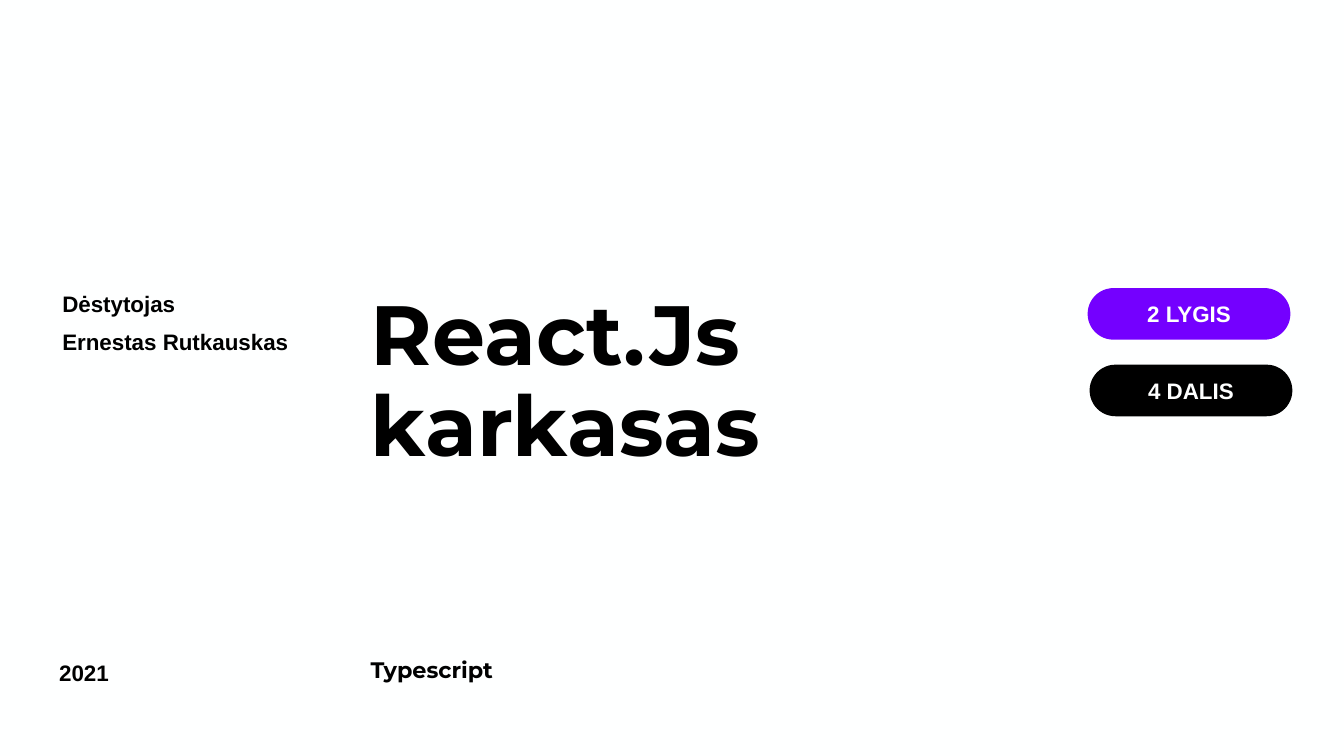
from pptx import Presentation
from pptx.dml.color import RGBColor
from pptx.enum.shapes import MSO_SHAPE
from pptx.enum.text import MSO_ANCHOR, MSO_AUTO_SIZE, PP_ALIGN
from pptx.util import Cm, Pt

LEFT, CENTER = PP_ALIGN.LEFT, PP_ALIGN.CENTER
TOP, MIDDLE = MSO_ANCHOR.TOP, MSO_ANCHOR.MIDDLE
NO_FIT = MSO_AUTO_SIZE.NONE
PILL = MSO_SHAPE.ROUNDED_RECTANGLE
BLACK, WHITE, VIOLET = "000000", "FEFFFF", "7400FF"

# Shared rows and columns, in cm
MIDDLE_ROW, BOTTOM_ROW = 7.26, 16.48
MAIN_COLUMN, MAIN_WIDTH = 9.09, 19.58
MIDDLE_HEIGHT, BOTTOM_HEIGHT = 6.63, 2.57


def rgb(value):
    return RGBColor.from_string(value)


def set_attrs(obj, values):
    for name, value in values.items():
        setattr(obj, name, value)


def write(sp, lines, size=16, font="Arial", color=BLACK, align=LEFT,
          anchor=TOP, spacing=1.0, gap=0):
    tf = sp.text_frame
    set_attrs(tf, {"word_wrap": True, "auto_size": NO_FIT,
                   "vertical_anchor": anchor,
                   "margin_left": Cm(0.25), "margin_right": Cm(0.25),
                   "margin_top": Cm(0.13), "margin_bottom": Cm(0.13)})
    for i, line in enumerate(lines):
        p = tf.add_paragraph() if i else tf.paragraphs[0]
        set_attrs(p, {"alignment": align, "line_spacing": spacing,
                      "space_before": Pt(gap if i else 0)})
        r = p.add_run()
        r.text = line
        set_attrs(r.font, {"name": font, "size": Pt(size), "bold": True})
        r.font.color.rgb = rgb(color)


def fill_placeholder(sp, text, top, height, size):
    set_attrs(sp, {"left": Cm(MAIN_COLUMN), "top": Cm(top),
                   "width": Cm(MAIN_WIDTH), "height": Cm(height)})
    write(sp, [text], size=size, font="Montserrat", spacing=0.9)


def add_text(s, lines, left, top, width, height, **style):
    sp = s.shapes.add_textbox(Cm(left), Cm(top), Cm(width), Cm(height))
    write(sp, lines, **style)


def add_pill(s, text, left, top, color):
    sp = s.shapes.add_shape(PILL, Cm(left), Cm(top), Cm(5.11), Cm(1.3))
    sp.adjustments[0] = 0.5
    sp.shadow.inherit = False
    sp.fill.solid()
    sp.fill.fore_color.rgb = rgb(color)
    sp.line.fill.background()
    write(sp, [text], color=WHITE, align=CENTER, anchor=MIDDLE)


def main():
    prs = Presentation()
    set_attrs(prs, {"slide_width": Cm(33.87), "slide_height": Cm(19.05)})
    s = prs.slides.add_slide(prs.slide_layouts[0])
    s.background.fill.solid()
    s.background.fill.fore_color.rgb = rgb(WHITE)

    # Course title and topic
    fill_placeholder(s.shapes.title, "React.Js karkasas",
                     MIDDLE_ROW, MIDDLE_HEIGHT, 60)
    fill_placeholder(s.placeholders[1], "Typescript",
                     BOTTOM_ROW, BOTTOM_HEIGHT, 16)

    # Year and lecturer
    add_text(s, ["2021"], 1.24, BOTTOM_ROW, 6.55, BOTTOM_HEIGHT)
    add_text(s, ["Dėstytojas", "Ernestas Rutkauskas"], 1.32, MIDDLE_ROW,
             6.48, MIDDLE_HEIGHT, spacing=0.9, gap=10)

    # Level and part labels
    add_pill(s, "2 LYGIS", 27.41, MIDDLE_ROW, VIOLET)
    add_pill(s, "4 DALIS", 27.46, MIDDLE_ROW + 1.93, BLACK)

    prs.save("out.pptx")


if __name__ == "__main__":
    main()
